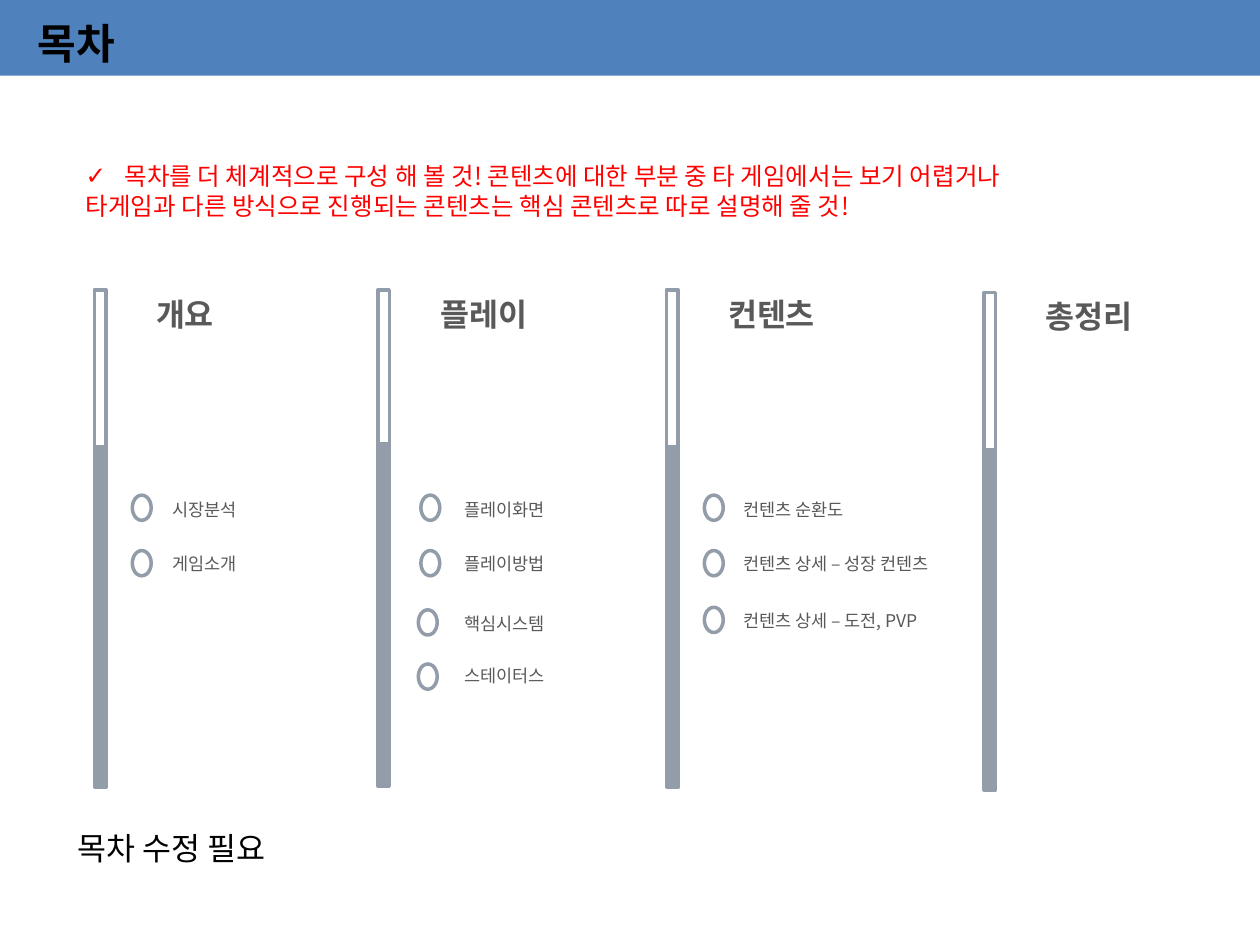
from dataclasses import dataclass, field

from lxml.etree import SubElement
from pptx import Presentation
from pptx.dml.color import RGBColor
from pptx.enum.shapes import MSO_SHAPE
from pptx.enum.text import MSO_ANCHOR, MSO_AUTO_SIZE, PP_ALIGN
from pptx.oxml.ns import qn
from pptx.util import Inches, Pt

FONT = "Noto Sans CJK KR"
STEEL = "929DA9"
GRAY = "595959"
BLACK = "000000"
RED = "FF0000"
BLUE = "4F81BD"


@dataclass
class Entry:
    text: str
    top: float
    width: float
    ring_left: float
    ring_top: float


@dataclass
class Section:
    heading: str
    bar_left: float
    heading_left: float
    entry_left: float = 0
    bar_top: float = 2.3
    solid_top: float = 3.55
    entries: list[Entry] = field(default_factory=list)


SECTIONS = [
    Section("개요", 0.75, 1.14, 1.27, entries=[
        Entry("시장분석", 3.91, 0.76, 1.05, 3.93),
        Entry("게임소개", 4.34, 0.76, 1.05, 4.37),
    ]),
    Section("플레이", 3, 3.4, 3.59, solid_top=3.52, entries=[
        Entry("플레이화면", 3.91, 0.9, 3.34, 3.93),
        Entry("플레이방법", 4.34, 0.9, 3.34, 4.37),
        Entry("핵심시스템", 4.82, 0.9, 3.32, 4.84),
        Entry("스테이터스", 5.23, 0.9, 3.32, 5.27),
    ]),
    Section("컨텐츠", 5.29, 5.68, 5.8, entries=[
        Entry("컨텐츠 순환도", 3.91, 1.09, 5.59, 3.93),
        Entry("컨텐츠 상세 – 성장 컨텐츠", 4.34, 1.86, 5.59, 4.37),
        Entry("컨텐츠 상세 – 도전, PVP", 4.79, 1.73, 5.59, 4.82),
    ]),
    Section("총정리", 7.81, 8.2, bar_top=2.32, solid_top=3.57),
]
NOTE = [
    "목차를 더 체계적으로 구성 해 볼 것! 콘텐츠에 대한 부분 중 타 게임에서는 보기 어렵거나",
    "타게임과 다른 방식으로 진행되는 콘텐츠는 핵심 콘텐츠로 따로 설명해 줄 것!",
]


def color(value: str) -> RGBColor:
    return RGBColor.from_string(value)


def apply(target, formats: dict) -> None:
    for name, value in formats.items():
        setattr(target, name, value)


def place(shape, left: float, top: float, width: float, height: float) -> None:
    apply(shape, {"left": Inches(left), "top": Inches(top),
                  "width": Inches(width), "height": Inches(height)})


def write(shape, lines: list[str], size: float, ink: str, bold: bool = False,
          wrap: bool = False, spacing: float = 1.0) -> None:
    frame = shape.text_frame
    apply(frame, {"text": "\n".join(lines), "word_wrap": wrap,
                  "auto_size": MSO_AUTO_SIZE.SHAPE_TO_FIT_TEXT,
                  "vertical_anchor": MSO_ANCHOR.TOP})
    for paragraph in frame.paragraphs:
        apply(paragraph, {"alignment": PP_ALIGN.LEFT, "line_spacing": spacing,
                          "space_before": Pt(0)})
        for run in paragraph.runs:
            apply(run.font, {"name": FONT, "size": Pt(size), "bold": bold})
            run.font.color.rgb = color(ink)
            SubElement(run.font._element, qn("a:ea"), typeface=FONT)


def add_label(slide, text: str, left: float, top: float, width: float,
              height: float, size: float, ink: str, **formats) -> None:
    label = slide.shapes.add_textbox(0, 0, 0, 0)
    place(label, left, top, width, height)
    write(label, [text], size, ink, **formats)


def add_figure(slide, kind: MSO_SHAPE, left: float, top: float, width: float,
               height: float, fill: str | None = None, line: str | None = STEEL):
    figure = slide.shapes.add_shape(
        kind, Inches(left), Inches(top), Inches(width), Inches(height))
    figure.shadow.inherit = False
    if fill:
        figure.fill.solid()
        figure.fill.fore_color.rgb = color(fill)
    else:
        figure.fill.background()
    if line:
        figure.line.color.rgb = color(line)
        figure.line.width = Pt(2)
    else:
        figure.line.fill.background()
    return figure


def set_bullet(paragraph, mark: str | None, indent: float) -> None:
    properties = paragraph._p.get_or_add_pPr()
    properties.set("marL", str(Inches(indent)))
    properties.set("indent", str(-Inches(indent)))
    if mark:
        SubElement(properties, qn("a:buChar"), char=mark)
    else:
        SubElement(properties, qn("a:buNone"))


def add_section(slide, section: Section) -> None:
    add_figure(slide, MSO_SHAPE.RECTANGLE, section.bar_left, section.bar_top, 0.09, 3.94)
    add_figure(slide, MSO_SHAPE.RECTANGLE, section.bar_left, section.solid_top, 0.09, 2.7,
               fill=STEEL)
    add_label(slide, section.heading, section.heading_left, section.bar_top - 0.16, 2, 0.5,
              18, GRAY, bold=True, wrap=True, spacing=1.5)
    for entry in section.entries:
        add_figure(slide, MSO_SHAPE.OVAL, entry.ring_left, entry.ring_top, 0.15, 0.2)
        add_label(slide, entry.text, section.entry_left, entry.top, entry.width, 0.27, 10, GRAY)


def main() -> None:
    deck = Presentation()
    apply(deck, {"slide_width": Inches(10), "slide_height": Inches(7.5)})
    slide = deck.slides.add_slide(deck.slide_layouts[1])

    header = add_figure(slide, MSO_SHAPE.RECTANGLE, 0, 0, 10, 0.6, fill=BLUE, line=None)
    slide.shapes._spTree.insert(2, header._element)

    title = slide.shapes.title
    place(title, 0.2, -0.11, 1.95, 0.63)
    write(title, ["목차"], 24, BLACK, bold=True, wrap=True, spacing=1.5)

    note = slide.placeholders[1]
    place(note, 0.58, 1.23, 8.4, 0.57)
    write(note, NOTE, 14, RED)
    first, second = note.text_frame.paragraphs
    set_bullet(first, "✓", 0.31)
    set_bullet(second, None, 0)

    for section in SECTIONS:
        add_section(slide, section)
    add_label(slide, "목차 수정 필요", 0.52, 6.53, 1.95, 0.4, 18, BLACK)
    deck.save("out.pptx")


if __name__ == "__main__":
    main()
